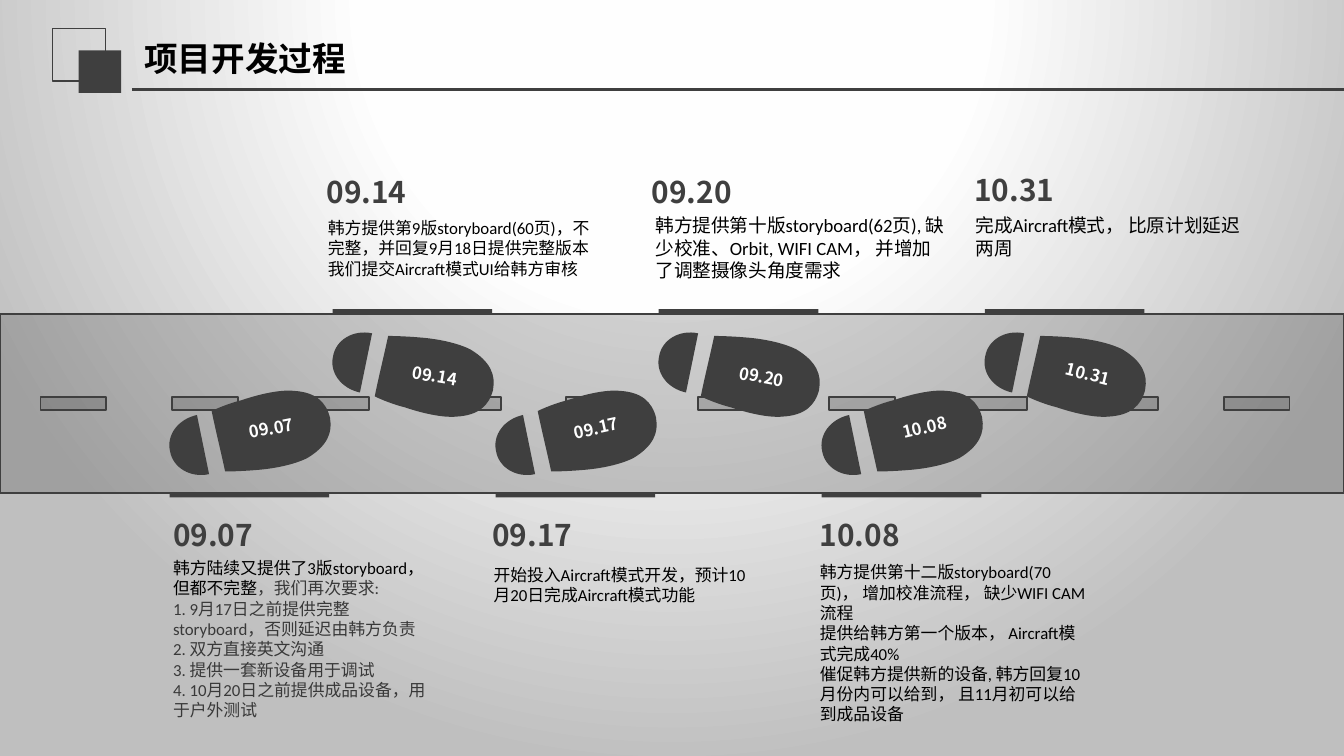
"""Build the project timeline slide with footprints walking along a road."""
from lxml.etree import SubElement
from pptx import Presentation
from pptx.dml.color import RGBColor
from pptx.enum.shapes import MSO_CONNECTOR, MSO_SHAPE
from pptx.enum.text import MSO_ANCHOR as Anchor, PP_ALIGN as Align
from pptx.oxml import parse_xml
from pptx.oxml.ns import nsdecls, qn
from pptx.util import Pt

COLORS = {
    "dark": "3F3F3F", "muted": "393939", "black": "000000", "white": "FFFFFF",
    "center": "FEFEFE", "edge": "BFBFBF",
}
BODY_FONT, DATE_FONT = "Calibri", "Noto Sans CJK SC"
STEP = 87.34
HEEL = [
    (15.1, 31.7), (5, 29.5), (-1.4, 20.9), (0.7, 12.2), (2.2, 3.6), (11.5, -2.2), (21.6, 0),
    (21.6, 0), (15.1, 31.7), (15.1, 31.7),
]
SOLE = [
    (23, 33.8), (23, 33.8), (30.2, 37.4), (38.9, 39.6), (47.5, 42.5), (59, 45.4), (67, 44.6),
    (78.5, 43.9), (84.2, 38.9), (86.4, 30.2), (86.4, 30.2), (86.4, 30.2), (86.4, 29.9),
    (87.8, 22.3), (85, 15.1), (74.2, 8.6), (67, 5), (56.2, 2.9), (46.8, 2.2),
    (37.4, 1.4), (30.2, 1.4), (30.2, 1.4), (27.4, 14.4), (25.2, 23), (23, 33.8),
]


def plain(*lines):
    return [[(line, "black")] for line in lines]


MILESTONES = [
    dict(date="09.07", date_at=(92.7, 276.7), label_at=(119, 221), angle=348.9,
         body_at=(92.7, 298.8, 142.6, 87.1), size=9, body=[
             [("韩方陆续又提供了3版storyboard， 但都不完整", "black"), ("，我们再次要求:", "muted")],
             [("1. 9月17日之前提供完整storyboard，否则延迟由韩方负责", "muted")],
             [("2. 双方直接英文沟通", "muted")],
             [("3. 提供一套新设备用于调试", "muted")],
             [("4. 10月20日之前提供成品设备，用于户外测试", "muted")]]),
    dict(date="09.14", date_at=(175, 92.9), label_at=(206.6, 193), angle=9.9,
         body_at=(175.7, 116.6, 142.6, 32.4), size=9, body=plain(
             "韩方提供第9版storyboard(60页)，不完整，并回复9月18日提供完整版本",
             "我们提交Aircraft模式UI给韩方审核")),
    dict(date="09.17", date_at=(263.7, 276.7), label_at=(293, 221), angle=347.6,
         body_at=(264.4, 302.4, 142.6, 21.6), size=9, body=plain(
             "开始投入Aircraft模式开发，预计10月20日完成Aircraft模式功能")),
    dict(date="09.20", date_at=(349.2, 92.9), label_at=(381.8, 193.5), angle=10.5,
         body_at=(351.2, 114.5, 156.2, 36), size=10, body=plain(
             "韩方提供第十版storyboard(62页), 缺少校准、Orbit, WIFI CAM， 并增加了调整摄像头角度需求")),
    dict(date="10.08", date_at=(439.2, 276.7), label_at=(469, 220.5), angle=346.9,
         body_at=(439.2, 301, 142.6, 100.8), size=9, body=plain(
             "韩方提供第十二版storyboard(70页)， 增加校准流程， 缺少WIFI CAM流程",
             "提供给韩方第一个版本， Aircraft模式完成40%",
             "催促韩方提供新的设备, 韩方回复10月份内可以给到， 且11月初可以给到成品设备")),
    dict(date="10.31", date_at=(522, 92.2), label_at=(556.6, 192), angle=14.1,
         body_at=(522.7, 114.5, 142.6, 24.5), size=10, body=plain(
             "完成Aircraft模式， 比原计划延迟两周")),
]


def rgb(name):
    return RGBColor.from_string(COLORS[name])


def curve_outline(shape, points, turned):
    path = next(shape.element.iter(qn("a:path")))
    for child in list(path):
        path.remove(child)
    local = [(x - shape.left, y - shape.top) for x, y in points]
    if turned:
        local = [(shape.width - x, shape.height - y) for x, y in local]
        shape.rotation = 180
    segments = [("a:moveTo", local[:1])]
    segments += [("a:cubicBezTo", local[i:i + 3]) for i in range(1, len(local), 3)]
    for tag, members in segments:
        segment = SubElement(path, qn(tag))
        for x, y in members:
            SubElement(segment, qn("a:pt"), x=str(x), y=str(y))
    SubElement(path, qn("a:close"))


class Canvas:
    """Hold the slide and draw styled elements on it."""

    def __init__(self, slide):
        self.slide = slide
        self.shapes = slide.shapes

    def background(self):
        self.slide.background.fill.solid()
        stops = "".join(
            f'<a:gs pos="{position}"><a:srgbClr val="{COLORS[name]}"/></a:gs>'
            for position, name in ((0, "white"), (40000, "center"), (100000, "edge")))
        gradient = parse_xml(
            f'<a:gradFill {nsdecls("a")} rotWithShape="1"><a:gsLst>{stops}</a:gsLst>'
            '<a:path path="circle"><a:fillToRect l="50000" t="-80000" r="50000" b="180000"/>'
            '</a:path></a:gradFill>')
        solid = next(self.slide.element.iter(qn("a:solidFill")))
        solid.getparent().replace(solid, gradient)

    def paint(self, shape, fill="dark", line=None, alpha=None):
        shape.shadow.inherit = False
        if fill:
            shape.fill.solid()
            shape.fill.fore_color.rgb = rgb(fill)
        else:
            shape.fill.background()
        if alpha:
            color = next(shape.element.iter(qn("a:srgbClr")))
            color.append(parse_xml(f'<a:alpha {nsdecls("a")} val="{alpha * 1000}"/>'))
        if line:
            shape.line.color.rgb = rgb("dark")
            shape.line.width = Pt(line)
        else:
            shape.line.fill.background()

    def box(self, left, top, width, height, parent=None, **style):
        shape = (parent or self).shapes.add_shape(
            MSO_SHAPE.RECTANGLE, Pt(left), Pt(top), Pt(width), Pt(height))
        self.paint(shape, **style)

    def rule(self, left, top, right, width):
        line = self.shapes.add_connector(
            MSO_CONNECTOR.STRAIGHT, Pt(left), Pt(top), Pt(right), Pt(top))
        line.line.color.rgb = rgb("dark")
        line.line.width = Pt(width)
        line.element.spPr.append(parse_xml(f'<a:effectLst {nsdecls("a")}/>'))

    def road(self):
        group = self.shapes.add_group_shape()
        self.box(0, 168.3, 720, 95.8, group, line=1, alpha=24)
        for index in range(10):
            self.box(21.7 + 70.43 * index, 212.6, 35.3, 7, group, line=1, alpha=24)

    def foot(self, left, upper):
        group = self.shapes.add_group_shape()
        top, direction = (178.6, 1) if upper else (254, -1)
        for curve in (HEEL, SOLE):
            points = [(Pt(left + x), Pt(top + direction * y)) for x, y in curve]
            builder = group.shapes.build_freeform(*points[0], scale=1.0)
            builder.add_line_segments(points[3::3], close=True)
            shape = builder.convert_to_shape()
            curve_outline(shape, points, turned=not upper)
            self.paint(shape)

    def text(self, paragraphs, at, size, font=BODY_FONT, bold=False, align=Align.LEFT,
             anchor=Anchor.TOP, inset=(0, 0), angle=0, leading=None):
        shape = self.shapes.add_textbox(*map(Pt, at))
        shape.rotation = angle
        frame = shape.text_frame
        frame.word_wrap = True
        frame.vertical_anchor = anchor
        frame.margin_left = frame.margin_right = Pt(inset[0])
        frame.margin_top = frame.margin_bottom = Pt(inset[1])
        for index, runs in enumerate(paragraphs):
            paragraph = frame.add_paragraph() if index else frame.paragraphs[0]
            paragraph.alignment = align
            if leading:
                paragraph.line_spacing = Pt(leading)
            for content, color in runs:
                run = paragraph.add_run()
                run.text = content
                run.font.name, run.font.size, run.font.bold = font, Pt(size), bold
                run.font.color.rgb = rgb(color)


def main():
    presentation = Presentation()
    presentation.slide_width, presentation.slide_height = Pt(720), Pt(405)
    canvas = Canvas(presentation.slides.add_slide(presentation.slide_layouts[6]))

    canvas.background()
    canvas.box(28.3, 15.3, 28.2, 28.2, fill=None, line=0.75)
    canvas.box(42.2, 27, 22.8, 22.8)
    canvas.rule(70.6, 48, 720, 1.25)
    canvas.text(plain("项目开发过程"), (70.2, 15.5, 256.3, 31), 18, bold=True,
                anchor=Anchor.MIDDLE, inset=(7.2, 3.6))
    canvas.road()
    for index in range(len(MILESTONES)):
        canvas.foot(90.4 + STEP * index, upper=index % 2)
    for index in range(len(MILESTONES)):
        canvas.box(90.9 + STEP * index, 165.6 if index % 2 else 264, 85.5, 2.5)
    for item in MILESTONES:
        date = item["date"]
        canvas.text([[(date, "white")]], (*item["label_at"], 52.6, 16.6), 9, font=DATE_FONT,
                    bold=True, align=Align.CENTER, inset=(5.8, 2.9), angle=item["angle"])
        canvas.text([[(date, "dark")]], (*item["date_at"], 142.6, 19.4), 16,
                    font=DATE_FONT, bold=True)
        canvas.text(item["body"], item["body_at"], item["size"], leading=1.21 * item["size"])
    presentation.save("out.pptx")


if __name__ == "__main__":
    main()
